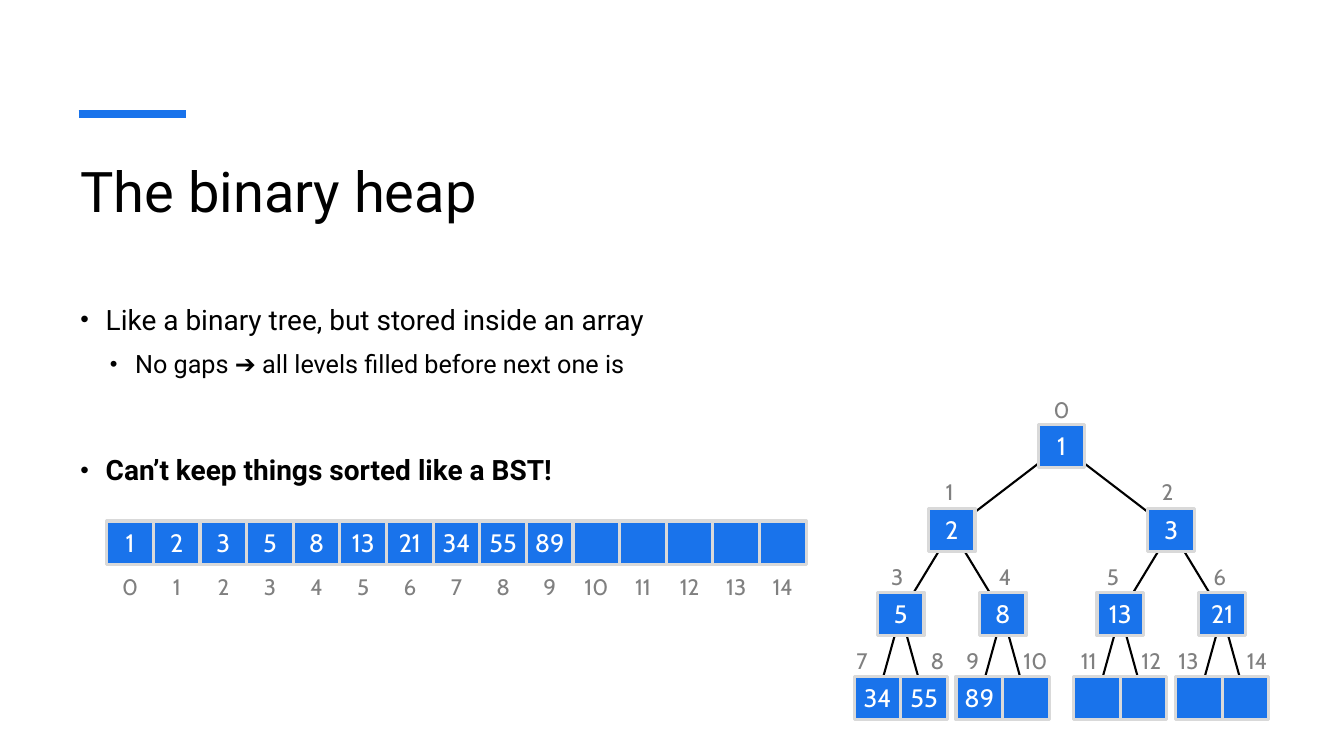
"""Build a slide that shows a binary heap as an array and as a tree."""
from dataclasses import dataclass

from lxml.etree import SubElement
from pptx import Presentation
from pptx.dml.color import RGBColor
from pptx.enum.shapes import MSO_CONNECTOR, MSO_SHAPE
from pptx.enum.text import MSO_ANCHOR, PP_ALIGN
from pptx.oxml.ns import qn
from pptx.util import Pt


@dataclass(frozen=True)
class Theme:
    blue: RGBColor = RGBColor(0x19, 0x73, 0xEB)
    border: RGBColor = RGBColor(0xD9, 0xD9, 0xD9)
    index: RGBColor = RGBColor(0x80, 0x80, 0x80)
    black: RGBColor = RGBColor(0, 0, 0)
    white: RGBColor = RGBColor(0xFF, 0xFF, 0xFF)
    text_font: str = "Roboto"
    cell_font: str = "Cabin"
    title_size: int = 40
    bullet_size: int = 20
    sub_bullet_size: int = 18
    value_size: int = 18
    index_size: int = 16


theme = Theme()
CELL_WIDTH, CELL_HEIGHT = 33.3, 31
ARRAY_LEFT, ARRAY_TOP = 76.3, 372.2
ROOT_CENTER, TREE_TOP, LEVEL_STEP = 758.2, 303, 60
CHILD_OFFSETS = [78.4, 36.4, CELL_WIDTH / 2]
HEAP = [1, 2, 3, 5, 8, 13, 21, 34, 55, 89] + [""] * 5
INDEX_TOPS = [277.2, 335.5, 396, 456.5]
INDEX_LEFTS = [741.6, 661.7, 817.2, 624.2, 701.3, 778.3, 854.6, 599,
               653, 678.2, 722.9, 761, 805.7, 832.3, 881.3]
BULLETS = [
    ("Like a binary tree, but stored inside an array", 0, 18, 10, theme.bullet_size, False),
    ("No gaps ➔ all levels filled before next one is", 1, 39, 5, theme.sub_bullet_size, False),
    ("Can’t keep things sorted like a BST!", 0, 18, 48, theme.bullet_size, True),
]

presentation = Presentation()
presentation.slide_width, presentation.slide_height = Pt(960), Pt(540)
slide = presentation.slides.add_slide(presentation.slide_layouts[6])


def write(paragraph, text, font_name, size, color, bold=False):
    paragraph.text = str(text)
    font = paragraph.font
    font.name, font.size, font.bold = font_name, Pt(size), bold
    font.color.rgb = color


def add_cell(left, top, text, is_index=False):
    frame = (Pt(left), Pt(top), Pt(CELL_WIDTH), Pt(CELL_HEIGHT))
    if is_index:
        shape = slide.shapes.add_textbox(*frame)
        size, color = theme.index_size, theme.index
    else:
        shape = slide.shapes.add_shape(MSO_SHAPE.RECTANGLE, *frame)
        shape.shadow.inherit = False
        shape.fill.solid()
        shape.fill.fore_color.rgb = theme.blue
        shape.line.color.rgb = theme.border
        shape.line.width = Pt(2.25)
        size, color = theme.value_size, theme.white
    text_frame = shape.text_frame
    text_frame.word_wrap = True
    text_frame.vertical_anchor = MSO_ANCHOR.MIDDLE
    text_frame.margin_left = text_frame.margin_right = 0
    paragraph = text_frame.paragraphs[0]
    paragraph.alignment = PP_ALIGN.CENTER
    write(paragraph, text, theme.cell_font, size, color)


levels = [(node + 1).bit_length() - 1 for node in range(len(HEAP))]
centers = [(ROOT_CENTER, TREE_TOP + CELL_HEIGHT / 2)]
lines = [((56.2, 81.4), (133.2, 81.4), theme.blue, 6)]
for node in range(1, len(HEAP)):
    parent_x, parent_y = centers[(node - 1) // 2]
    side = -1 if node % 2 else 1
    centers.append((parent_x + side * CHILD_OFFSETS[levels[node] - 1], parent_y + LEVEL_STEP))
    lines.append(((parent_x, parent_y), centers[node], theme.black, 1.5))

for begin, end, color, width in lines:
    connector = slide.shapes.add_connector(
        MSO_CONNECTOR.STRAIGHT, *[Pt(value) for value in begin + end])
    connector.line.color.rgb = color
    connector.line.width = Pt(width)
    SubElement(connector._element.spPr, qn("a:effectLst"))

title = slide.shapes.add_textbox(Pt(50.4), Pt(108), Pt(857.5), Pt(86.4))
title.text_frame.word_wrap = True
write(title.text_frame.paragraphs[0], "The binary heap",
      theme.text_font, theme.title_size, theme.black)

body = slide.shapes.add_textbox(Pt(50.4), Pt(207.4), Pt(857.5), Pt(173.5))
body.text_frame.word_wrap = True
for position, (text, level, margin, space, size, bold) in enumerate(BULLETS):
    paragraph = body.text_frame.add_paragraph() if position else body.text_frame.paragraphs[0]
    paragraph.level = level
    paragraph.line_spacing = 1.2
    paragraph.space_before = Pt(space)
    properties = paragraph._p.get_or_add_pPr()
    properties.set("marL", str(Pt(margin)))
    properties.set("indent", str(Pt(-18)))
    SubElement(properties, qn("a:buSzPct"), val="87000")
    SubElement(properties, qn("a:buFont"), typeface="Arial")
    SubElement(properties, qn("a:buChar"), char="•")
    write(paragraph, text, theme.text_font, size, theme.black, bold)

for node, value in enumerate(HEAP):
    array_left = ARRAY_LEFT + node * CELL_WIDTH
    center_x, center_y = centers[node]
    add_cell(array_left, ARRAY_TOP, value)
    add_cell(array_left, ARRAY_TOP + CELL_HEIGHT, node, is_index=True)
    add_cell(center_x - CELL_WIDTH / 2, center_y - CELL_HEIGHT / 2, value)

for node, left in enumerate(INDEX_LEFTS):
    add_cell(left, INDEX_TOPS[levels[node]], node, is_index=True)

presentation.save("out.pptx")
